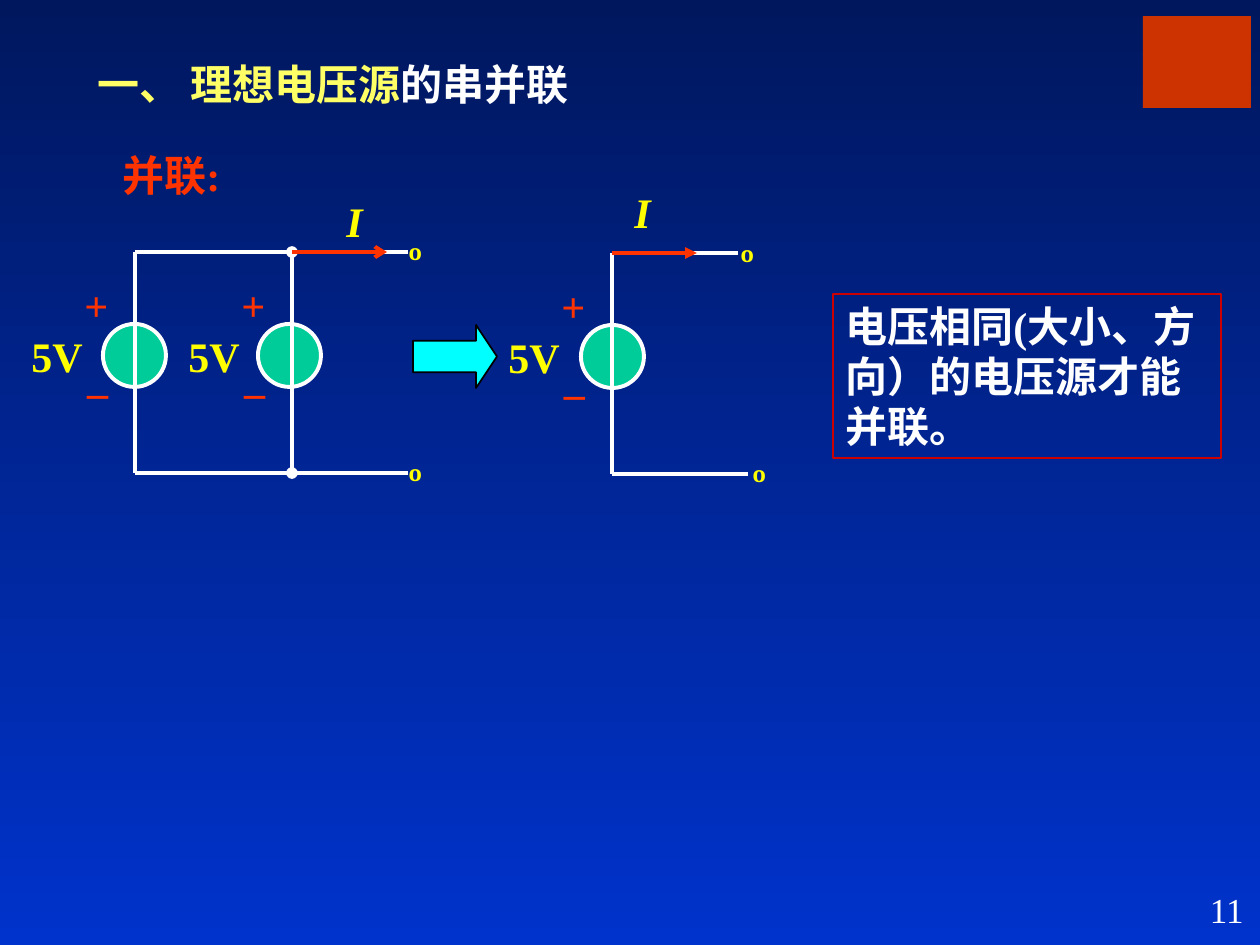
from lxml import etree
from pptx import Presentation
from pptx import util as u
from pptx.dml.color import RGBColor
from pptx.enum import shapes, text
from pptx.oxml import ns

PX = u.Inches(1) / 126
COLORS = {
    "navy": "00175E", "blue": "0033CC", "white": "FFFFFF", "black": "000000",
    "yellow": "FFFF00", "pale": "FFFF66", "red": "FF3300", "brick": "CC3300",
    "frame": "CC0000", "green": "00CC99", "cyan": "00FFFF",
}
RGB = {name: RGBColor.from_string(value) for name, value in COLORS.items()}
LEFT, CENTER, RIGHT = text.PP_ALIGN.LEFT, text.PP_ALIGN.CENTER, text.PP_ALIGN.RIGHT
TOP, MIDDLE = text.MSO_ANCHOR.TOP, text.MSO_ANCHOR.MIDDLE

deck = Presentation()
deck.slide_width, deck.slide_height = u.Inches(10), u.Inches(7.5)
page = deck.slides.add_slide(deck.slide_layouts[6])


def add_text(area, spans, align=LEFT, anchor=TOP, wrap=True, **font):
    box = page.shapes.add_textbox(*[round(v * PX) for v in area])
    frame = box.text_frame
    frame.word_wrap, frame.vertical_anchor = wrap, anchor
    para = frame.paragraphs[0]
    para.alignment = align
    for words, color in spans:
        span = para.add_run()
        span.text = words
        formats = {"name": "Times New Roman", "size": u.Pt(24), "bold": True, **font}
        for key, value in formats.items():
            setattr(span.font, key, value)
        span.font.color.rgb = RGB[color]
    return box


def add_wire(x1, y1, x2, y2, color="white", **ends):
    wire = page.shapes.add_connector(
        shapes.MSO_CONNECTOR.STRAIGHT, *[round(v * PX) for v in (x1, y1, x2, y2)])
    wire.line.color.rgb = RGB[color]
    wire.line.width = u.Pt(2.25)
    for end, kind in ends.items():
        etree.SubElement(wire.line._get_or_add_ln(), ns.qn(f"a:{end}"), type=kind)
    etree.SubElement(wire._element.spPr, ns.qn("a:effectLst"))


# Background, dark at the top
backdrop = page.background.fill
backdrop.gradient()
backdrop.gradient_angle = 270
for stop, (place, color) in zip(backdrop.gradient_stops, [(0, "navy"), (1, "blue")]):
    stop.position = place
    stop.color.rgb = RGB[color]

# Plain corner block, conversion arrow and the three source circles
SHAPE = shapes.MSO_SHAPE
for kind, area, fill, line, width in [
    (SHAPE.RECTANGLE, (1143, 16, 108, 92), "brick", None, 0),
    (SHAPE.RIGHT_ARROW, (413, 325, 84, 63), "cyan", "black", 1),
    (SHAPE.OVAL, (103, 324, 63, 63), "green", "white", 2.25),
    (SHAPE.OVAL, (258, 324, 63, 63), "green", "white", 2.25),
    (SHAPE.OVAL, (581, 325, 63, 63), "green", "white", 2.25),
]:
    shape = page.shapes.add_shape(kind, *[round(v * PX) for v in area])
    shape.shadow.inherit = False
    shape.fill.solid()
    shape.fill.fore_color.rgb = RGB[fill]
    if line:
        shape.line.color.rgb = RGB[line]
        shape.line.width = u.Pt(width)
    else:
        shape.line.fill.background()
    if kind == SHAPE.RIGHT_ARROW:
        shape.adjustments[1] = 0.333

# Source labels, placed from the top of each vertical wire
for x, y in [(135, 252), (292, 252), (612, 253)]:
    add_text((x - 63, y + 21, 49, 63), [("+", "red")], CENTER, MIDDLE, wrap=False)
    add_text((x - 61, y + 93, 47, 63), [("_", "red")], CENTER, MIDDLE)
    add_text((x - 116, y + 72, 105, 63), [("5V", "yellow")])

# Circuit wires
add_wire(135, 252, 135, 473)
add_wire(292, 252, 292, 473, headEnd="oval", tailEnd="oval")
add_wire(135, 252, 408, 252)
add_wire(135, 473, 408, 473)
add_wire(612, 253, 612, 474)
add_wire(612, 253, 738, 253)
add_wire(612, 474, 748, 474)

# Current arrows and their labels
add_wire(292, 252, 387, 252, "red", tailEnd="arrow")
add_wire(612, 253, 697, 253, "red", tailEnd="triangle")
for x, y in [(334, 189), (622, 180)]:
    add_text((x, y, 53, 63), [("I", "yellow")], italic=True)

# Terminals
for x, y in [(396, 228), (396, 449), (728, 230), (740, 450)]:
    add_text((x, y, 29, 63), [("º", "yellow")], CENTER, MIDDLE)

# Headings, conclusion and page number
add_text((85, 52, 611, 63), [("一、 理想电压源", "pale"), ("的串并联", "white")])
add_text((110, 143, 134, 63), [("并联:", "red")], wrap=False)
conclusion = add_text((833, 294, 388, 164),
                      [("电压相同(大小、方向）的电压源才能并联。", "white")])
conclusion.line.color.rgb = RGB["frame"]
conclusion.line.width = u.Pt(1)
add_text((994, 882, 262, 63), [("11", "white")], RIGHT, size=u.Pt(20), bold=False)

deck.save("out.pptx")
